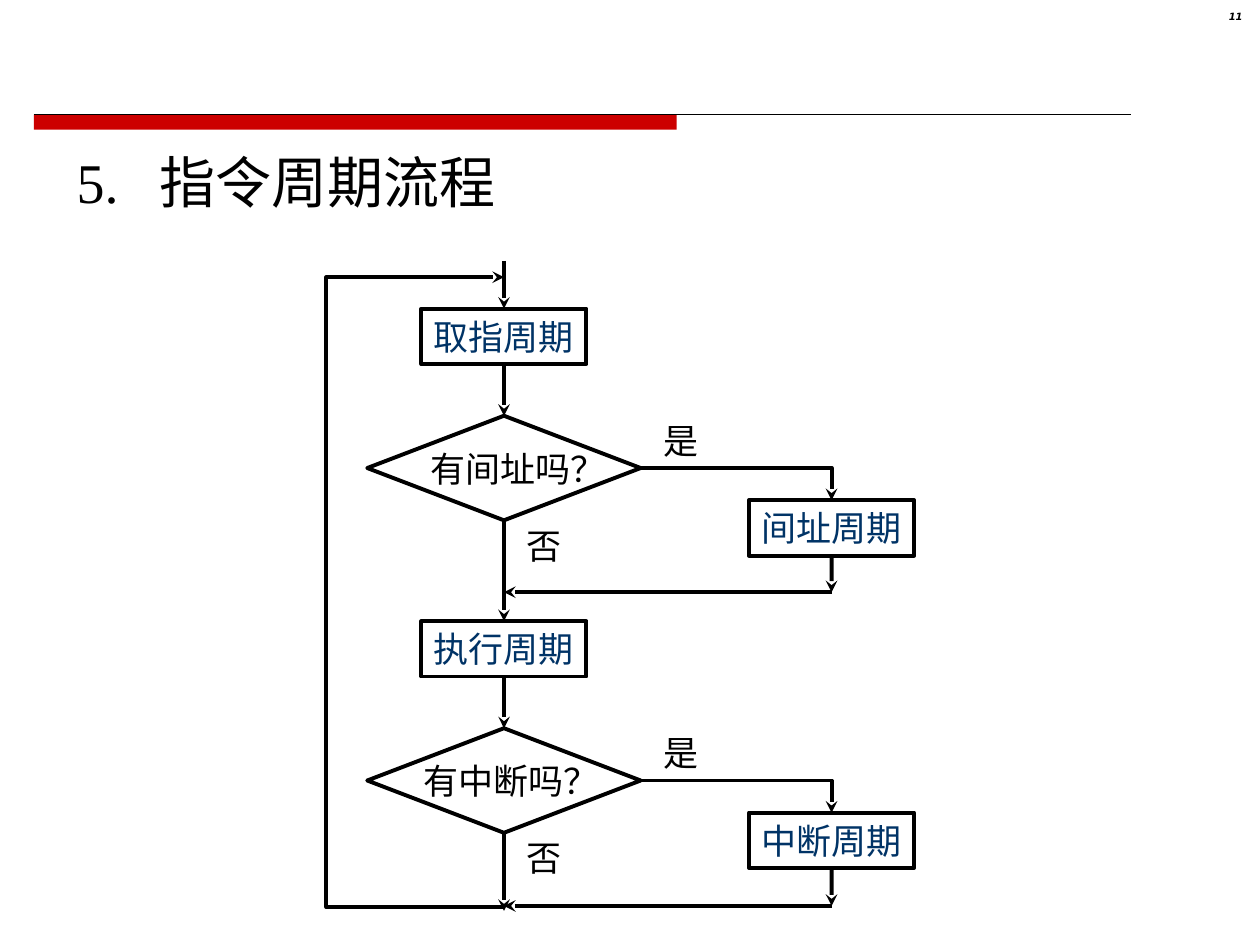
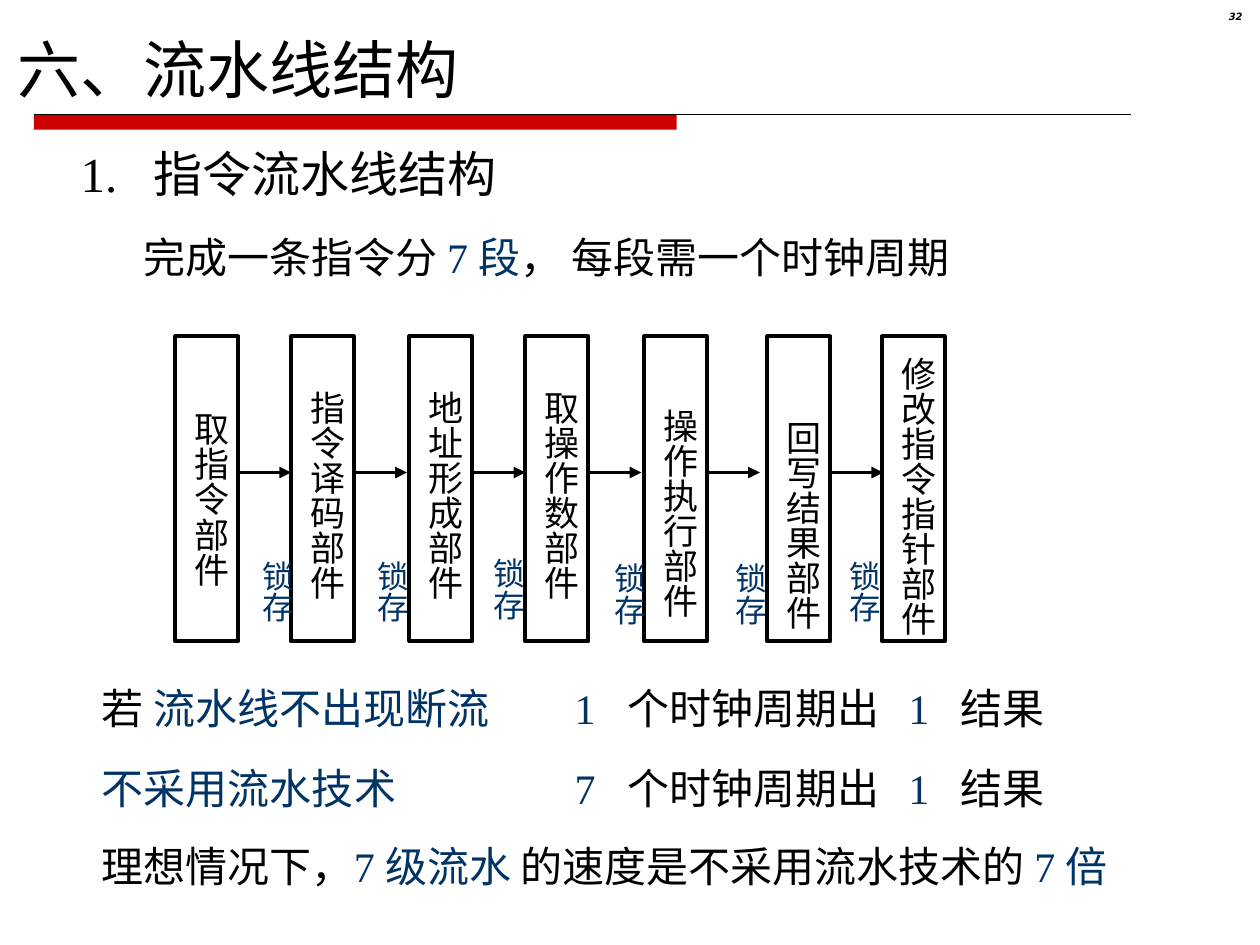
from lxml import etree
from pptx import Presentation
from pptx.dml.color import RGBColor
from pptx.enum.shapes import MSO_CONNECTOR, MSO_SHAPE
from pptx.enum.text import MSO_ANCHOR, PP_ALIGN
from pptx.oxml.ns import qn
from pptx.util import Inches, Pt

RECT, DIAMOND = MSO_SHAPE.RECTANGLE, MSO_SHAPE.DIAMOND
STRAIGHT = MSO_CONNECTOR.STRAIGHT
LEFT, CENTER, RIGHT = PP_ALIGN.LEFT, PP_ALIGN.CENTER, PP_ALIGN.RIGHT
TOP_ANCHOR, MIDDLE = MSO_ANCHOR.TOP, MSO_ANCHOR.MIDDLE
TOP, BOTTOM = 0, 2

COLORS = {"ink": "000000", "accent": "003366", "band": "CC0000"}
FONT, NUMBER_FONT = "Times New Roman", "DejaVu Sans"
LINE_WIDTH = 2.25


def rgb(name):
    return RGBColor.from_string(COLORS[name])


class Deck:
    def __init__(self):
        self.prs = Presentation()
        self.prs.slide_width, self.prs.slide_height = Inches(10), Inches(7.5)
        self.s = None

    def new_slide(self, number):
        """Start a slide with the red band, its rule and the page number."""
        self.s = self.prs.slides.add_slide(self.prs.slide_layouts[6])
        band = self.shape(RECT, 0.27, 0.91, 5.1, 0.12, line=False)
        band.fill.solid()
        band.fill.fore_color.rgb = rgb("band")
        self.line((0.27, 0.91), (8.98, 0.91), width=0.75)
        sp = self.text(9.37, 0.05, 0.59, 0.23, number, 5.7,
                       align=RIGHT, font=NUMBER_FONT)
        p = sp.text_frame.paragraphs[0]
        p.line_spacing = 0.8
        p.font.bold = p.font.italic = True

    def label(self, sp, runs, size, align=LEFT, anchor=TOP_ANCHOR, font=FONT,
              insets=(0.1, 0.05, 0.1, 0.05), wrap=True, vertical=False, tabs=()):
        """Fill a shape with one paragraph; runs is a string or (text, colour) pairs."""
        tf = sp.text_frame
        tf.word_wrap, tf.vertical_anchor = wrap, anchor
        (tf.margin_left, tf.margin_top,
         tf.margin_right, tf.margin_bottom) = map(Inches, insets)
        if vertical:
            tf._txBody.bodyPr.set("vert", "eaVert")
        p = tf.paragraphs[0]
        p.alignment = align
        if tabs:
            tab_list = etree.SubElement(p._p.get_or_add_pPr(), qn("a:tabLst"))
            for pos in tabs:
                etree.SubElement(tab_list, qn("a:tab"), pos=str(Inches(pos)), algn="l")
        p.font.name, p.font.size = font, Pt(size)
        for text, color in [(runs, "ink")] if isinstance(runs, str) else runs:
            r = p.add_run()
            r.text = text
            r.font.color.rgb = rgb(color)

    def text(self, x, y, w, h, runs, size, **style):
        sp = self.s.shapes.add_textbox(*map(Inches, (x, y, w, h)))
        self.label(sp, runs, size, **style)
        return sp

    def heading(self, x, y, w, runs, size, tabs=()):
        """Text line of fixed height, centred vertically, with no side insets."""
        self.text(x, y, w, 0.58, runs, size, anchor=MIDDLE,
                  insets=(0, 0.05, 0, 0.05), tabs=tabs)

    def outline(self, item, width=LINE_WIDTH, head=None):
        item.line.color.rgb = rgb("ink")
        item.line.width = Pt(width)
        if head:
            etree.SubElement(item.line._get_or_add_ln(), qn("a:tailEnd"), type=head)

    def shape(self, kind, x, y, w, h, line=True):
        sp = self.s.shapes.add_shape(kind, *map(Inches, (x, y, w, h)))
        sp.shadow.inherit = False
        sp.fill.background()
        if line:
            self.outline(sp)
        else:
            sp.line.fill.background()
        return sp

    def line(self, start, end, head=None, width=LINE_WIDTH):
        """Straight line; each end is an (x, y) point or a (shape, side) joint."""
        c = self.s.shapes.add_connector(STRAIGHT, 0, 0, 0, 0)
        if isinstance(start[0], (int, float)):
            c.begin_x, c.begin_y = map(Inches, start)
        else:
            c.begin_connect(*start)
        if isinstance(end[0], (int, float)):
            c.end_x, c.end_y = map(Inches, end)
        else:
            c.end_connect(*end)
        self.outline(c, width, head)
        etree.SubElement(c._element.spPr, qn("a:effectLst"))

    def bent_arrow(self, *points):
        pts = [(Inches(x), Inches(y)) for x, y in points]
        builder = self.s.shapes.build_freeform(*pts[0])
        builder.add_line_segments(pts[1:], close=False)
        sp = builder.convert_to_shape()
        sp.shadow.inherit = False
        sp.fill.background()
        self.outline(sp, head="stealth")


def flowchart_slide(deck):
    main_x, side_x = 4, 6.6
    box_w, box_h, diamond_w, diamond_h = 1.31, 0.44, 2.17, 0.83

    def step(name, cx, y):
        sp = deck.shape(RECT, cx - box_w / 2, y, box_w, box_h)
        deck.label(sp, [(name, "accent")], 20, CENTER, MIDDLE, wrap=False)
        return sp

    def decision(name, y, indent):
        sp = deck.shape(DIAMOND, main_x - diamond_w / 2, y, diamond_w, diamond_h)
        deck.label(sp, name, 20, CENTER, MIDDLE, insets=(indent, 0, 0, 0), wrap=False)
        return sp

    def arrow(start, end):
        deck.line(start, end, "stealth")

    deck.new_slide("11")
    deck.text(0.51, 1.12, 6.25, 0.64, "5.\t指令周期流程", 32, tabs=[0.66])

    # Each stage: step, question, side step, top of the step, merge height, indent
    stages = [("取指周期", "有间址吗？", "间址周期", 2.45, 4.7, 0.23),
              ("执行周期", "有中断吗？", "中断周期", 4.93, 7.19, 0.11)]
    entry = (main_x, 2.07)
    for name, question, side_name, y, merge_y, indent in stages:
        box = step(name, main_x, y)
        diamond = decision(question, y + 0.85, indent)
        side = step(side_name, side_x, y + 1.52)
        branch_y = y + 0.85 + diamond_h / 2
        arrow(entry, (box, TOP))
        arrow((box, BOTTOM), (diamond, TOP))
        deck.bent_arrow((main_x + diamond_w / 2, branch_y), (side_x, branch_y),
                        (side_x, y + 1.52))
        arrow((side, BOTTOM), (side_x, merge_y))
        arrow((side_x, merge_y), (main_x, merge_y))
        deck.text(5.17, y + 0.83, 0.48, 0.44, "是", 20)
        deck.text(4.08, y + 1.66, 0.48, 0.44, "否", 20)
        entry = (diamond, BOTTOM)
    arrow(entry, (main_x, 7.23))
    deck.bent_arrow((main_x, 7.2), (2.59, 7.2), (2.59, 2.2), (main_x, 2.2))


def pipeline_slide(deck):
    deck.new_slide("32")
    deck.heading(0.14, 0.25, 5.9, "六、流水线结构", 36)
    deck.heading(0.64, 1.08, 3.67, "1.\t指令流水线结构", 28, tabs=[0.58])
    deck.heading(1.14, 1.75, 7.17, [("完成一条指令分 ", "ink"), ("7 段", "accent"),
                                    ("， 每段需一个时钟周期", "ink")], 24)

    # Each unit: name, left edge, space above the text
    units = [("取指令部件", 1.39, 0.6), ("指令译码部件", 2.31, 0.43),
             ("地址形成部件", 3.25, 0.43), ("取操作数部件", 4.17, 0.43),
             ("操作执行部件", 5.11, 0.57), ("回写结果部件", 6.09, 0.67),
             ("修改指令指针部件", 7, 0.16)]
    unit_w = 0.5
    for name, x, space in units:
        sp = deck.shape(RECT, x, 2.67, unit_w, 2.42)
        deck.label(sp, name, 20, insets=(0, space, 0.05, 0), vertical=True)
    for _, x, _ in units[:-1]:
        deck.line((x + unit_w, 3.75), (x + unit_w + 0.42, 3.75), "triangle")
    latches = [(1.9, 4.35), (2.81, 4.35), (3.73, 4.33),
               (4.69, 4.37), (5.65, 4.37), (6.56, 4.35)]
    for x, y in latches:
        deck.text(x, y, 0.5, 0.62, [("锁存", "accent")], 18,
                  insets=(0.05, 0.1, 0.05, 0), vertical=True)

    cases = [([("若 ", "ink"), ("流水线不出现断流", "accent")], "1", 5.33),
             ([("不采用流水技术", "accent")], "7", 5.96)]
    for case, cycles, y in cases:
        deck.heading(0.81, y, 3.67, case, 24)
        deck.heading(4.56, y, 3.75, [(cycles, "accent"), ("\t个时钟周期出\t", "ink"),
                                     ("1", "accent"), ("\t结果", "ink")],
                     24, tabs=[0.42, 2.65, 3.06])
    deck.heading(0.81, 6.58, 8.6, [("理想情况下，", "ink"), ("7 级流水 ", "accent"),
                                   ("的速度是不采用流水技术的 ", "ink"),
                                   ("7 倍", "accent")], 24)


def main():
    deck = Deck()
    flowchart_slide(deck)
    pipeline_slide(deck)
    deck.prs.save("out.pptx")


if __name__ == "__main__":
    main()
